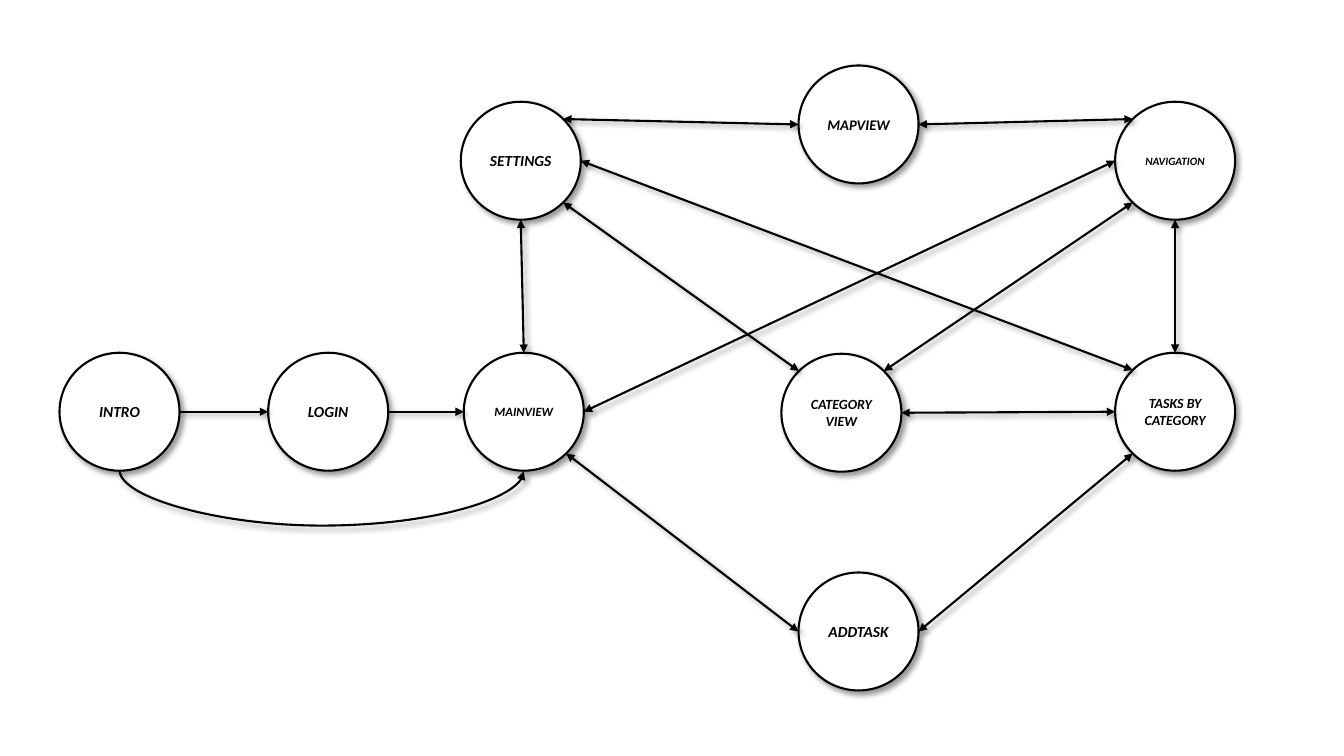
from math import cos, radians, sin

from lxml import etree
from pptx import Presentation
from pptx.dml.color import RGBColor
from pptx.enum.shapes import MSO_CONNECTOR, MSO_SHAPE
from pptx.enum.text import MSO_ANCHOR, PP_ALIGN
from pptx.oxml.ns import qn
from pptx.util import Inches, Pt

ELLIPSE = MSO_SHAPE.OVAL
STRAIGHT, CURVE = MSO_CONNECTOR.STRAIGHT, MSO_CONNECTOR.CURVE
MIDDLE, CENTER = MSO_ANCHOR.MIDDLE, PP_ALIGN.CENTER

COLORS = {"ink": "000000", "paper": "FFFFFF"}
LINE_WIDTH = 1.5
NODE_WIDTH, NODE_HEIGHT = 1.19, 1.17
SHADOW = {"blurRad": Pt(4), "dist": Pt(3), "dir": 45 * 60000,
          "algn": "tl", "rotWithShape": 0}
SHADOW_ALPHA = 40000

# Connection sites of an ellipse, counter-clockwise from the top
SITES = ["top", "top left", "left", "bottom left",
         "bottom", "bottom right", "right", "top right"]

# Screen name: left, top, text size
SCREENS = {
    "INTRO": (0.59, 3.5, 11),
    "LOGIN": (2.66, 3.5, 11),
    "MAINVIEW": (4.6, 3.5, 9),
    "SETTINGS": (4.57, 1.01, 11),
    "NAVIGATION": (11.06, 1.01, 8),
    "CATEGORY VIEW": (7.75, 3.51, 10),
    "MAPVIEW": (7.92, 0.65, 10.5),
    "TASKS BY CATEGORY": (11.06, 3.5, 10),
    "ADDTASK": (7.92, 5.68, 11),
}

# Start screen, its site, end screen, its site
ONE_WAY = [
    ("INTRO", "right", "LOGIN", "left"),
    ("LOGIN", "right", "MAINVIEW", "left"),
]
TWO_WAY = [
    ("MAINVIEW", "top", "SETTINGS", "bottom"),
    ("MAINVIEW", "bottom right", "ADDTASK", "left"),
    ("MAINVIEW", "right", "NAVIGATION", "left"),
    ("CATEGORY VIEW", "top right", "NAVIGATION", "bottom left"),
    ("MAPVIEW", "right", "NAVIGATION", "top left"),
    ("TASKS BY CATEGORY", "top", "NAVIGATION", "bottom"),
    ("ADDTASK", "right", "TASKS BY CATEGORY", "bottom left"),
    ("CATEGORY VIEW", "right", "TASKS BY CATEGORY", "left"),
    ("SETTINGS", "top right", "MAPVIEW", "left"),
    ("SETTINGS", "bottom right", "CATEGORY VIEW", "top left"),
    ("SETTINGS", "right", "TASKS BY CATEGORY", "top left"),
]


def color(name):
    return RGBColor.from_string(COLORS[name])


def add_xml(parent, tag, **values):
    child = etree.SubElement(parent, qn(tag))
    for name, value in values.items():
        child.set(name, str(value))
    return child


def style_outline(item):
    """Give a circle or connector its black line and soft shadow."""
    item.line.color.rgb = color("ink")
    item.line.width = Pt(LINE_WIDTH)
    effects = add_xml(item._element.spPr, "a:effectLst")
    shadow = add_xml(effects, "a:outerShdw", **SHADOW)
    ink = add_xml(shadow, "a:srgbClr", val=COLORS["ink"])
    add_xml(ink, "a:alpha", val=SHADOW_ALPHA)


def add_screen(slide, name, left, top, size):
    circle = slide.shapes.add_shape(
        ELLIPSE, Inches(left), Inches(top), Inches(NODE_WIDTH), Inches(NODE_HEIGHT))
    circle.fill.solid()
    circle.fill.fore_color.rgb = color("paper")
    style_outline(circle)

    frame = circle.text_frame
    frame.word_wrap = True
    frame.vertical_anchor = MIDDLE
    para = frame.paragraphs[0]
    para.alignment = CENTER
    span = para.add_run()
    span.text = name
    formats = {"name": "Calibri", "size": Pt(size), "bold": True, "italic": True}
    for key, value in formats.items():
        setattr(span.font, key, value)
    span.font.color.rgb = color("ink")
    return circle


def site_point(screen, site):
    """Place of a connection site on the rim of a screen's circle."""
    left, top, _ = SCREENS[screen]
    angle = radians(90 + 45 * SITES.index(site))
    return (Inches(left + NODE_WIDTH / 2 * (1 + cos(angle))),
            Inches(top + NODE_HEIGHT / 2 * (1 - sin(angle))))


def add_arrow(slide, kind, start, end, both_ways=False):
    arrow = slide.shapes.add_connector(kind, *start, *end)
    style_outline(arrow)
    outline = arrow.line._get_or_add_ln()
    if both_ways:
        add_xml(outline, "a:headEnd", type="triangle")
    add_xml(outline, "a:tailEnd", type="triangle")
    return arrow


def link_screens(slide, circles, link, both_ways):
    """Draw a straight arrow and glue its ends to both circles."""
    source, source_site, target, target_site = link
    arrow = add_arrow(slide, STRAIGHT, site_point(source, source_site),
                      site_point(target, target_site), both_ways)
    glue = arrow._element.nvCxnSpPr.cNvCxnSpPr
    for tag, screen, site in (("a:stCxn", source, source_site),
                              ("a:endCxn", target, target_site)):
        add_xml(glue, tag, id=circles[screen].shape_id, idx=SITES.index(site))


def add_skip_login_arrow(slide):
    """Curve below LOGIN: a thin upright connector turned by 270 degrees."""
    start_x, y = site_point("INTRO", "bottom")
    end_x, _ = site_point("MAINVIEW", "bottom")
    middle, half = (start_x + end_x) // 2, (end_x - start_x) // 2
    rise, depth = Pt(1), Pt(40)
    arrow = add_arrow(slide, CURVE, (middle + rise // 2, y - half),
                      (middle - rise // 2, y + half))
    properties = arrow._element.spPr
    properties.find(qn("a:xfrm")).set("rot", str(270 * 60000))
    adjustments = properties.find(qn("a:prstGeom")).find(qn("a:avLst"))
    add_xml(adjustments, "a:gd", name="adj1", fmla=f"val {100000 * depth // rise}")


def main():
    deck = Presentation()
    deck.slide_width, deck.slide_height = Inches(13.33), Inches(7.5)
    slide = deck.slides.add_slide(deck.slide_layouts[6])

    # Screens of the app
    circles = {name: add_screen(slide, name, *place)
               for name, place in SCREENS.items()}

    # Paths between them
    for links, both_ways in ((ONE_WAY, False), (TWO_WAY, True)):
        for link in links:
            link_screens(slide, circles, link, both_ways)
    add_skip_login_arrow(slide)

    deck.save("out.pptx")


main()
